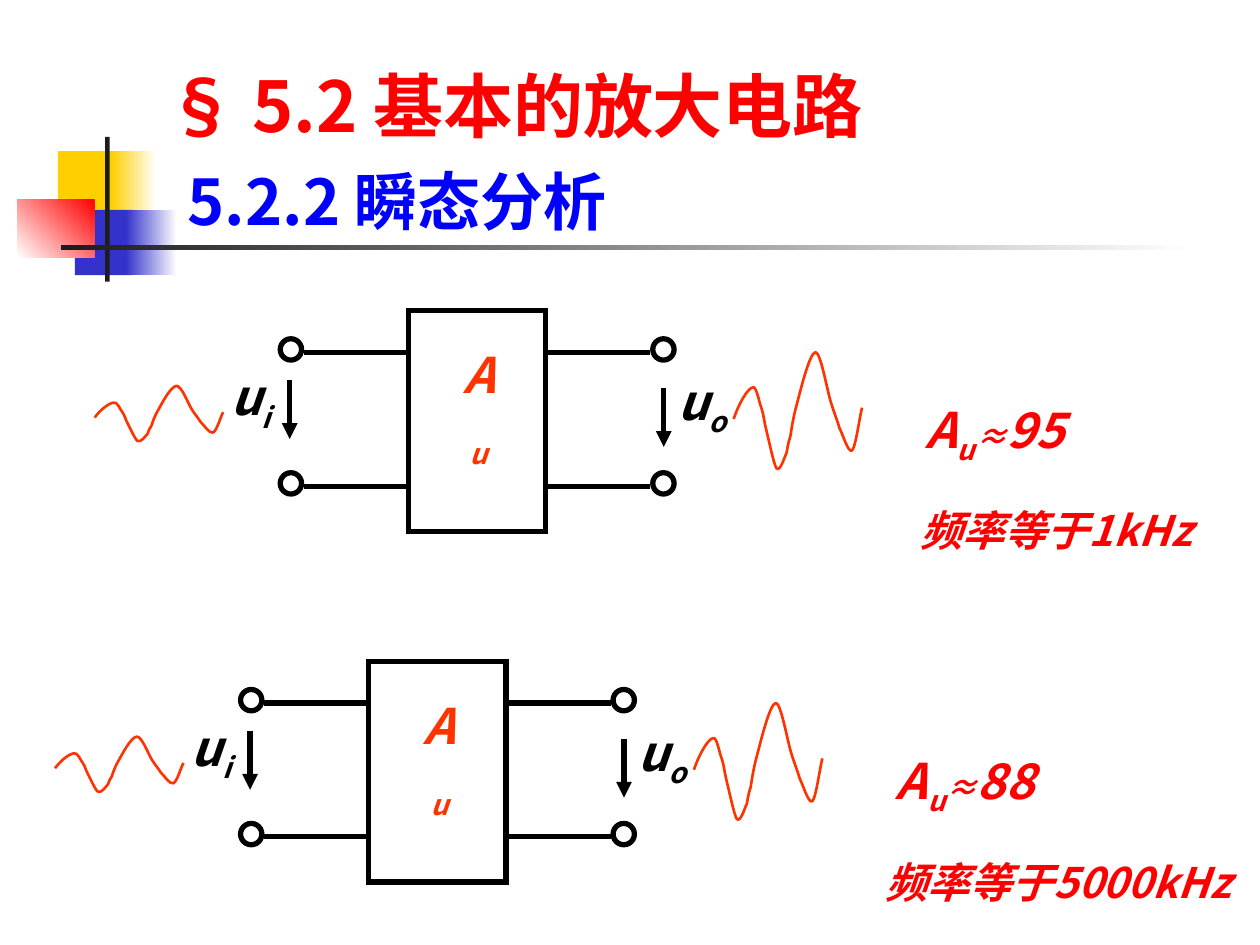
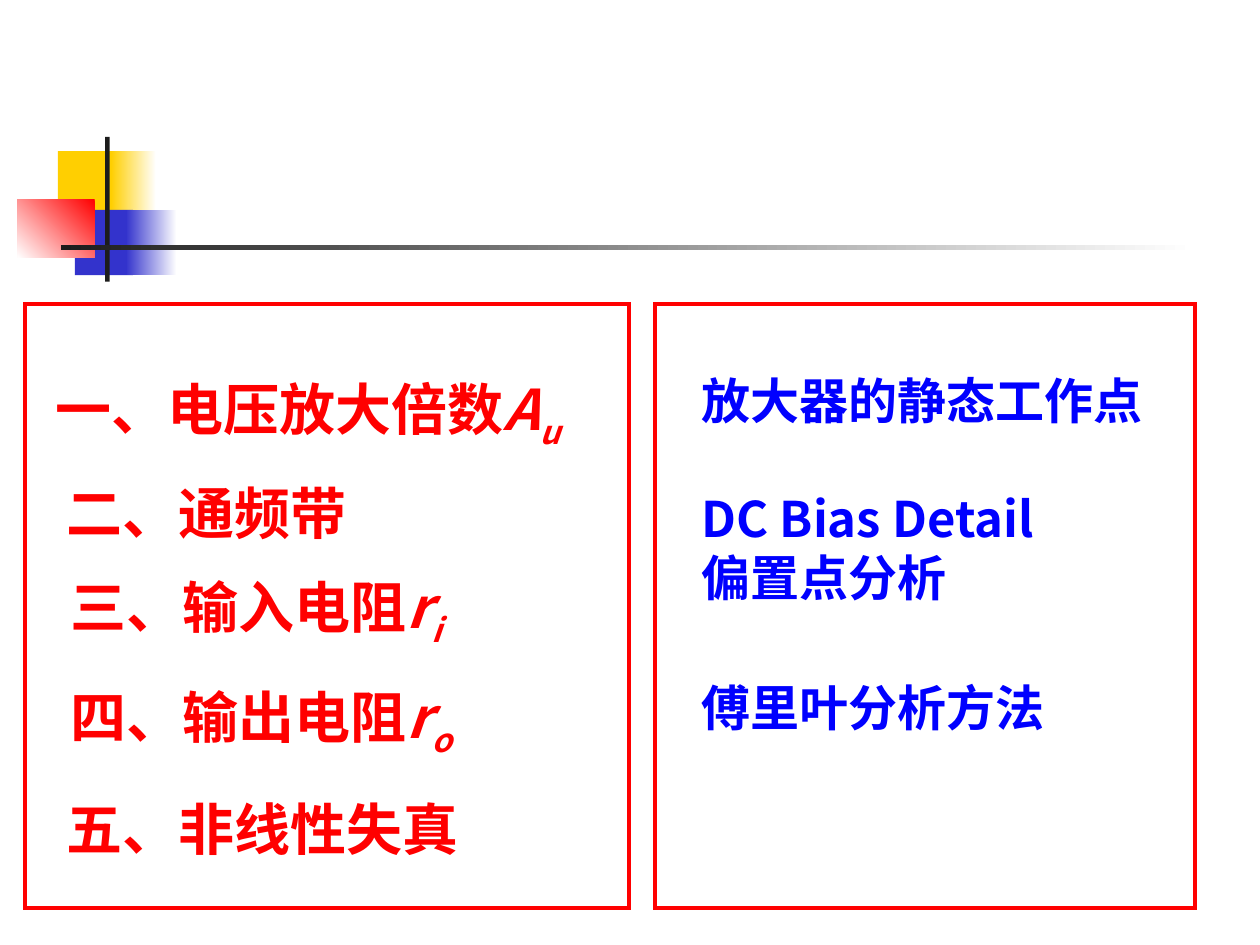
import pptx
import pptx.dml.color
import pptx.enum.shapes
import pptx.enum.text
import pptx.oxml.ns
import pptx.util
from lxml import etree

Cm, Pt = pptx.util.Cm, pptx.util.Pt
SHAPE = pptx.enum.shapes.MSO_SHAPE
ALIGN = pptx.enum.text.PP_ALIGN
ANCHOR = pptx.enum.text.MSO_ANCHOR
qn = pptx.oxml.ns.qn

FONT = "Noto Sans CJK SC"
RED, BLUE, ORANGE, BLACK, WHITE = "FF0000", "0000FF", "FF3300", "000000", "FFFFFF"
YELLOW, INDIGO, CHARCOAL = "FFCF01", "3333CC", "1C1C1C"

# Master decoration: left, top, width, height (cm), gradient stops, angle
DECORATION = [
    (1.17, 3.05, 1.22, 1.32, [YELLOW], 0),
    (2.24, 3.05, 0.91, 1.32, [WHITE, YELLOW], 180),
    (1.51, 4.23, 1.17, 1.32, [INDIGO], 0),
    (2.54, 4.23, 1.02, 1.32, [WHITE, INDIGO], 180),
    (0.35, 4.02, 1.56, 1.17, [RED, WHITE], 225),
    (2.12, 2.76, 0.09, 2.92, [CHARCOAL], 0),
    (1.23, 4.94, 22.86, 0.1, [WHITE, CHARCOAL], 180),
]

# Bezier controls and knots of one waveform, in hundredths of an inch
WAVE_START = (0, 53)
WAVE_CURVES = [
    (4, 41, 11, 29, 15, 28), (18, 26, 20, 39, 22, 44), (24, 50, 24, 54, 26, 62),
    (28, 70, 32, 89, 34, 92), (37, 95, 40, 84, 42, 80), (43, 75, 43, 73, 45, 67),
    (46, 61, 47, 53, 50, 42), (53, 31, 60, 1, 65, 0), (69, 0, 74, 29, 77, 39),
    (80, 49, 82, 53, 84, 60), (87, 66, 91, 80, 94, 78), (97, 75, 100, 51, 102, 44),
]
WAVE_WIDTH, WAVE_HEIGHT = 102, 92

SUB = {"baseline": -25}


def rgb(value):
    return pptx.dml.color.RGBColor.from_string(value)


def box(left, top, width, height):
    return [Cm(length) for length in (left, top, width, height)]


def set_all(target, **values):
    for name, value in values.items():
        setattr(target, name, value)


def add_run(paragraph, text, size, color, baseline=0, **font_values):
    if text == "\n":
        paragraph.add_line_break()
        return
    run = paragraph.add_run()
    run.text = text
    set_all(run.font, name=FONT, size=Pt(size), **{"bold": True, **font_values})
    run.font.color.rgb = rgb(color)
    properties = run._r.get_or_add_rPr()
    etree.SubElement(properties, qn("a:ea"), typeface=FONT)
    if baseline:
        properties.set("baseline", str(baseline * 1000))


def write(frame, runs, paragraph=None, align=ALIGN.LEFT, **style):
    """Fill a paragraph with runs: plain strings or (text, style changes)."""
    paragraph = paragraph or frame.paragraphs[0]
    set_all(paragraph, alignment=align, space_before=Pt(0))
    for run in runs:
        text, changes = (run, {}) if isinstance(run, str) else run
        add_run(paragraph, text, **{**style, **changes})
    return paragraph


def add_label(slide, place, runs, **style):
    frame = slide.shapes.add_textbox(*box(*place)).text_frame
    set_all(frame, word_wrap=True, vertical_anchor=ANCHOR.MIDDLE)
    write(frame, runs, italic=True, **style)


def prepare_placeholder(holder, place):
    set_all(holder, **dict(zip(("left", "top", "width", "height"), box(*place))))
    frame = holder.text_frame
    set_all(frame, word_wrap=True, vertical_anchor=ANCHOR.TOP,
            auto_size=pptx.enum.text.MSO_AUTO_SIZE.NONE)
    return frame


def remove_bullet(paragraph, indent=0):
    properties = paragraph._p.get_or_add_pPr()
    properties.set("marL", str(Cm(indent)))
    properties.set("indent", "0")
    etree.SubElement(properties, qn("a:buNone"))


def add_outline(slide, kind, place, color=BLACK, weight=3):
    shape = slide.shapes.add_shape(kind, *box(*place))
    shape.shadow.inherit = False
    shape.fill.background()
    shape.line.color.rgb = rgb(color)
    shape.line.width = Pt(weight)
    etree.SubElement(shape.line._get_or_add_ln(), qn("a:miter"), lim="800000")


def add_wire(slide, start, end, arrow=False):
    wire = slide.shapes.add_connector(
        pptx.enum.shapes.MSO_CONNECTOR.STRAIGHT, *map(Cm, (*start, *end)))
    wire.line.color.rgb = rgb(BLACK)
    wire.line.width = Pt(3)
    if arrow:
        etree.SubElement(wire.line._get_or_add_ln(), qn("a:tailEnd"), type="triangle")
    etree.SubElement(wire._element.spPr, qn("a:effectLst"))


def add_wave(slide, left, top, width, height):
    """Draw the waveform through its knots, then bend each segment."""
    scale = Cm(width) / WAVE_WIDTH, Cm(height) / WAVE_HEIGHT
    outline = slide.shapes.build_freeform(*WAVE_START, scale=scale)
    outline.add_line_segments([curve[4:] for curve in WAVE_CURVES], close=False)
    wave = outline.convert_to_shape(Cm(left), Cm(top))
    for segment, curve in zip(list(wave._element.iter(qn("a:lnTo"))), WAVE_CURVES):
        bend = etree.Element(qn("a:cubicBezTo"))
        for x, y in zip(curve[::2], curve[1::2]):
            etree.SubElement(bend, qn("a:pt"), x=str(x), y=str(y))
        segment.getparent().replace(segment, bend)
    wave.shadow.inherit = False
    wave.fill.background()
    wave.line.color.rgb = rgb(ORANGE)
    wave.line.width = Pt(1.5)


def add_amplifier(slide, left, top):
    """Draw the two-port amplifier with its input and output waves."""
    def at(x, y, *size):
        return (left + x, top + y, *size)

    add_outline(slide, SHAPE.RECTANGLE, at(6.32, 0, 2.77, 4.45))
    for wire_y in (0.84, 3.54):
        for terminal_x, outer_x, block_x in ((3.74, 4.22, 6.32), (11.25, 11.2, 9.09)):
            add_wire(slide, at(outer_x, wire_y), at(block_x, wire_y))
            add_outline(slide, SHAPE.OVAL, at(terminal_x, wire_y - 0.27, 0.43, 0.43))

    ports = [  # wave, arrow, label, subscript
        ((0, 1.52, 2.59, 1.11), (3.93, 1.4), (2.39, 1.01, 1.5, 1.6), "i"),
        ((12.88, 0.84, 2.59, 2.34), (11.47, 1.56), (11.49, 1.1, 1.5, 1.6), "o"),
    ]
    for wave, (arrow_x, arrow_y), label, subscript in ports:
        add_wave(slide, *at(*wave))
        add_wire(slide, at(arrow_x, arrow_y), at(arrow_x, arrow_y + 1.19), arrow=True)
        add_label(slide, at(*label), ["u", (subscript, SUB)],
                  align=ALIGN.CENTER, size=28, color=BLACK)
    add_label(slide, at(7.06, 1.15, 1.37, 1.6), ["A", ("u", SUB)],
              align=ALIGN.CENTER, size=28, color=ORANGE)


def add_reading(slide, left, top, gain, frequency, outdent):
    add_label(slide, (left, top, 6.1, 1.6),
              ["A", ("u", SUB), ("≈", {"size": 18}), gain], size=28, color=RED)
    add_label(slide, (left - outdent, top + 2.13, 7.75, 1.27),
              [f"频率等于{frequency}"], size=24, color=RED)


def decorate_master(slide, master):
    """Draw the coloured squares and rules, and move them to the master."""
    for number, (*place, colors, angle) in enumerate(DECORATION):
        block = slide.shapes.add_shape(SHAPE.RECTANGLE, *box(*place))
        block.shadow.inherit = False
        block.line.fill.background()
        if len(colors) == 1:
            block.fill.solid()
            block.fill.fore_color.rgb = rgb(colors[0])
        else:
            block.fill.gradient()
            block.fill.gradient_angle = angle
            for stop, color in zip(block.fill.gradient_stops, colors):
                stop.color.rgb = rgb(color)
        block._element.nvSpPr.cNvPr.set("id", str(100 + number))
        master.shapes._spTree.append(block._element)


def fill_analysis_slide(slide):
    heading = prepare_placeholder(slide.shapes.title, (3.1, 1.13, 16.59, 1.96))
    write(heading, ["§ 5.2 基本的放大电路"], size=40, color=RED)
    section = prepare_placeholder(slide.placeholders[1], (3.53, 3.15, 16.36, 1.78))
    remove_bullet(write(section, ["5.2.2 瞬态分析"], size=36, color=BLUE))

    add_amplifier(slide, 1.91, 6.26)
    add_reading(slide, 18.41, 7.92, "95", "1kHz", outdent=0.1)
    add_amplifier(slide, 1.11, 13.33)
    add_reading(slide, 17.81, 15, "88", "5000kHz", outdent=0.21)


def fill_panel(slide, holder, frame_place, list_place, items, leading, **style):
    """Frame a list; items are (space before, indent, runs)."""
    frame = prepare_placeholder(holder, list_place)
    for number, (space, indent, runs) in enumerate(items):
        line = frame.add_paragraph() if number else frame.paragraphs[0]
        remove_bullet(line, indent)
        write(frame, runs, line, **style)
        set_all(line, space_before=Pt(space), line_spacing=Pt(leading))
    add_outline(slide, SHAPE.RECTANGLE, frame_place, RED, 2.25)


def fill_summary_slide(slide):
    title = slide.shapes.title._element
    title.getparent().remove(title)
    italic, italic_sub = {"italic": True}, {"italic": True, **SUB}
    indicators = [
        (0, 0, ["一、电压放大倍数", ("A", italic), ("u", italic_sub)]),
        (13.7, 0.23, ["二、通频带"]),
        (19.3, 0.3, ["三、输入电阻", ("r", italic), ("i", italic_sub)]),
        (23, 0.3, ["四、输出电阻", ("r", italic), ("o", italic_sub)]),
        (18.8, 0.23, ["五、非线性失真"]),
    ]
    methods = [
        (0, 0, ["放大器的静态工作点"]),
        (33.5, 0, ["DC Bias Detail", "\n", "偏置点分析"]),
        (40, 0, ["傅里叶分析方法"]),
    ]
    fill_panel(slide, slide.placeholders[1], (0.5, 6.12, 12.19, 12.19),
               (0.86, 7.56, 11.6, 10.3), indicators, 40, size=32, color=RED)
    fill_panel(slide, slide.placeholders[2], (13.2, 6.12, 10.9, 12.19),
               (13.89, 7.32, 9.8, 8), methods, 34, size=28, color=BLUE)


def main():
    deck = pptx.Presentation()
    set_all(deck, slide_width=Cm(25.4), slide_height=Cm(19.05))
    analysis = deck.slides.add_slide(deck.slide_layouts.get_by_name("Title and Content"))
    decorate_master(analysis, deck.slide_master)
    fill_analysis_slide(analysis)
    fill_summary_slide(deck.slides.add_slide(deck.slide_layouts.get_by_name("Two Content")))
    deck.save("out.pptx")


if __name__ == "__main__":
    main()
